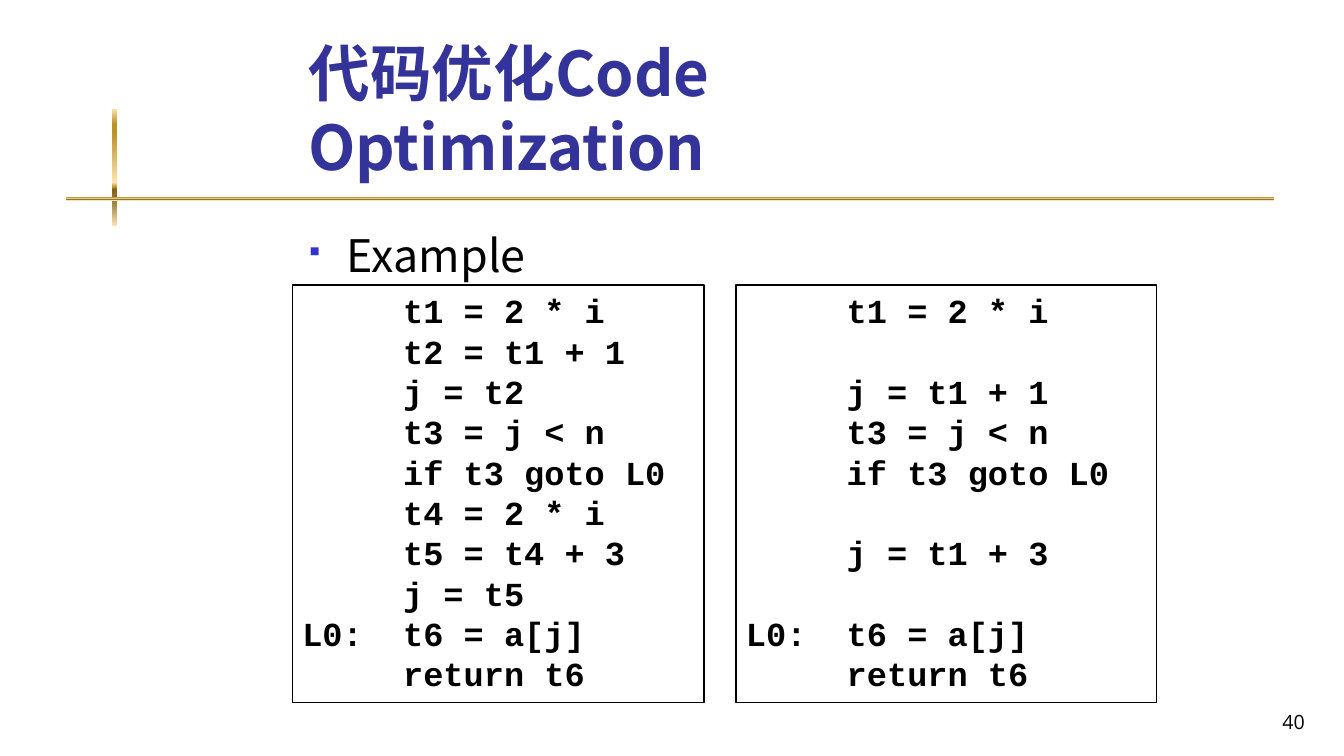
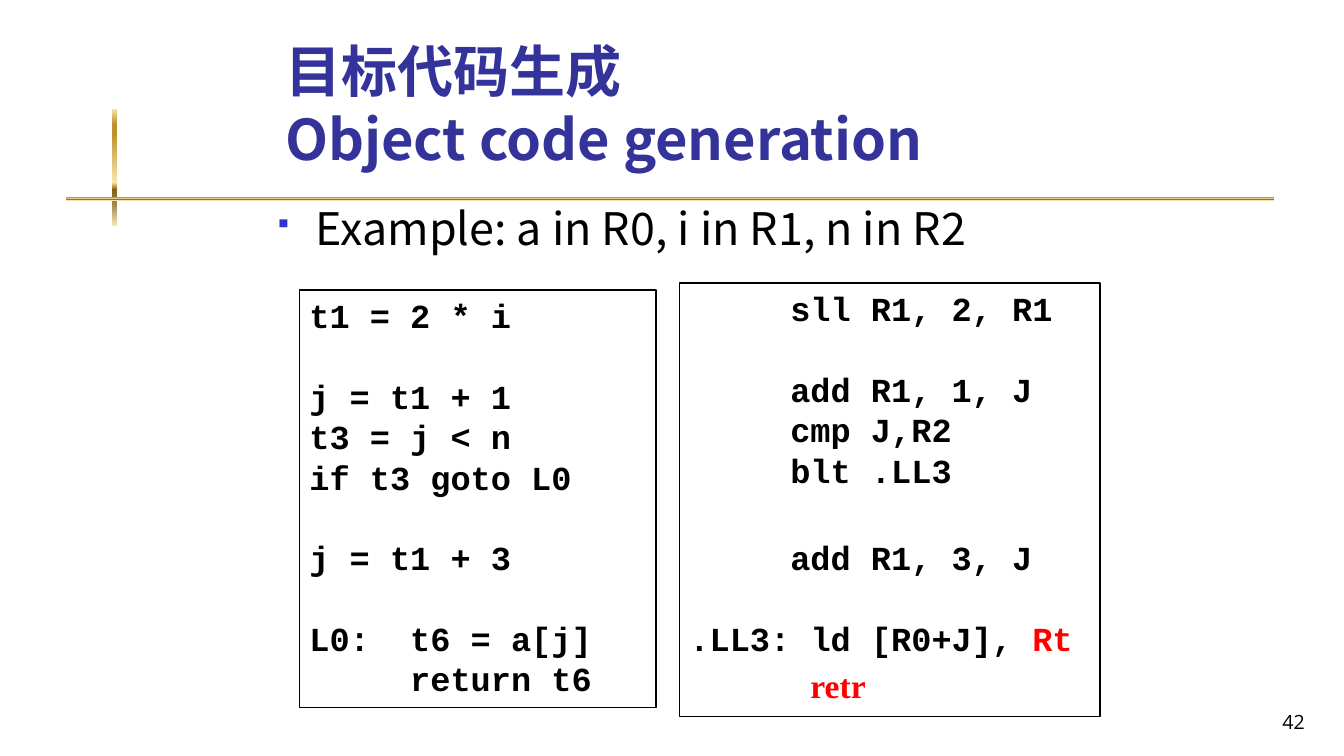
from dataclasses import dataclass

from lxml import etree
from pptx import Presentation
from pptx import util as u
from pptx.dml.color import RGBColor
from pptx.enum import shapes, text
from pptx.oxml import ns

INK = {"title": "333399", "mark": "3333CC", "text": "000000", "hot": "FF0000"}
GOLD = [(0, "FBE4AE"), (13, "BD922A"), (21, "BD922A"), (63, "FBE4AE"),
        (67, "BD922A"), (69, "835E17"), (82, "A28949"), (100, "FAE3B7")]
BARS = [(1.11, 1.08, 0.05, 1.16), (0.65, 1.95, 11.99, 0.04)]
HAN, MONO, SANS, SERIF = ("Noto Sans CJK JP", "Courier New", "Open Sans",
                          "Times New Roman")
LEAD = 1.2          # line height as a multiple of the text size
CODE = 24
ROW = CODE * LEAD   # height of one code line, in points
STEP = CODE * 0.2   # space before a new block of code, in points


@dataclass
class Line:
    """One code line: (text, colour, font) runs, space before in points, indent in inches."""
    runs: list
    gap: float = 0
    left: float = 0


def code(words, gap=0):
    return Line([(words, "text", MONO)], gap)


def sub(node, tag, **attrs):
    return etree.SubElement(node, ns.qn(tag), attrs)


def place(shape, box):
    shape.left, shape.top, shape.width, shape.height = map(u.Inches, box)


def put(para, words, size, ink="text", font=HAN, bold=False):
    run = para.add_run()
    run.text = words
    run.font.size = u.Pt(size)
    run.font.bold = bold
    run.font.color.rgb = RGBColor.from_string(INK[ink])
    run.font.name = font
    if font == HAN:
        sub(run.font._element, "a:ea", typeface=font)


def rect(slide, box):
    shape = slide.shapes.add_shape(shapes.MSO_SHAPE.RECTANGLE, *map(u.Inches, box))
    shape.shadow.inherit = False
    shape.fill.background()
    return shape


def bar(slide, box):
    shape = rect(slide, box)
    shape.line.fill.background()
    props = shape.element.spPr
    grad = etree.Element(ns.qn("a:gradFill"), rotWithShape="1")
    stops = sub(grad, "a:gsLst")
    for pos, tint in GOLD:
        sub(sub(stops, "a:gs", pos=str(pos * 1000)), "a:srgbClr", val=tint)
    sub(grad, "a:lin", ang="5400000", scaled="0")
    props.replace(props.find(ns.qn("a:noFill")), grad)


def title(slide, box, rows, size):
    shape = slide.shapes.title
    place(shape, box)
    frame = shape.text_frame
    frame.auto_size = text.MSO_AUTO_SIZE.NONE
    frame.vertical_anchor = text.MSO_ANCHOR.BOTTOM
    para = frame.paragraphs[0]
    para.alignment = text.PP_ALIGN.LEFT
    para.line_spacing = u.Pt(size * LEAD)
    for i, row in enumerate(rows):
        if i:
            para.add_line_break()
        put(para, row, size, "title", bold=True)


def body(slide, box, words, size=32):
    shape = slide.placeholders[1]
    place(shape, box)
    frame = shape.text_frame
    frame.auto_size = text.MSO_AUTO_SIZE.NONE
    para = frame.paragraphs[0]
    para.line_spacing = u.Pt(size * LEAD)
    para.space_before = u.Pt(0)
    props = para._p.get_or_add_pPr()
    props.set("marL", str(u.Inches(0.38)))
    props.set("indent", str(u.Inches(-0.38)))
    sub(sub(props, "a:buClr"), "a:srgbClr", val=INK["mark"])
    sub(props, "a:buSzPct", val="60000")
    sub(props, "a:buFont", typeface="Wingdings", charset="2")
    sub(props, "a:buChar", char="§")  # a small square in this font
    put(para, words, size)


def panel(slide, box, lines):
    """Outlined box of code, one paragraph a line."""
    shape = rect(slide, box)
    shape.line.color.rgb = RGBColor.from_string(INK["text"])
    shape.line.width = u.Pt(1.25)
    frame = shape.text_frame
    frame.word_wrap = True
    frame.vertical_anchor = text.MSO_ANCHOR.TOP
    for i, line in enumerate(lines):
        para = frame.add_paragraph() if i else frame.paragraphs[0]
        para.alignment = text.PP_ALIGN.LEFT
        para.line_spacing = u.Pt(ROW)
        para.space_before = u.Pt(line.gap)
        props = para._p.get_or_add_pPr()
        if line.left:
            props.set("marL", str(u.Inches(line.left)))
        sub(sub(props, "a:tabLst"), "a:tab", pos=str(u.Inches(1)), algn="l")
        for words, ink, font in line.runs:
            put(para, words, CODE, ink, font, True)


def number(slide, words):
    shape = slide.shapes.add_textbox(*map(u.Inches, (10.26, 6.83, 2.78, 0.5)))
    frame = shape.text_frame
    frame.word_wrap = True
    frame.vertical_anchor = text.MSO_ANCHOR.BOTTOM
    para = frame.paragraphs[0]
    para.alignment = text.PP_ALIGN.RIGHT
    put(para, words, 14, font=SANS)


def page(deck, head, note, panels, num):
    """Slide with heading, one bullet and code panels; each part comes with its box."""
    slide = deck.slides.add_slide(deck.slide_layouts[1])
    for box in BARS:
        bar(slide, box)
    title(slide, *head)
    body(slide, *note)
    for box, lines in panels:
        panel(slide, box, lines)
    number(slide, num)


def short(tab):
    """The optimized code, its plain lines led by tab."""
    return [code(tab + "t1 = 2 * i"),
            code(tab + "j = t1 + 1", ROW),
            code(tab + "t3 = j < n"),
            code(tab + "if t3 goto L0"),
            code(tab + "j = t1 + 3", ROW),
            code("L0: \tt6 = a[j]", ROW),
            code("\treturn t6")]


LONG = [code(row) for row in (
    "\tt1 = 2 * i", "\tt2 = t1 + 1", "\tj = t2", "\tt3 = j < n",
    "\tif t3 goto L0", "\tt4 = 2 * i", "\tt5 = t4 + 3", "\tj = t5",
    "L0: \tt6 = a[j]", "\treturn t6")]

ASM = [code("\tsll R1, 2, R1"),
       code("\tadd R1, 1, J", ROW),
       code("\tcmp J,R2"),
       code("\tblt .LL3"),
       code("\tadd R1, 3, J", ROW + STEP),
       Line([(".LL3: ld [R0+J], ", "text", MONO), ("Rt", "hot", MONO)], ROW),
       Line([("retr", "hot", SERIF)], STEP, 1.2)]


def main():
    deck = Presentation()
    deck.slide_width, deck.slide_height = u.Inches(13.33), u.Inches(7.5)
    page(deck,
         ((2.96, 0.76, 8, 1.1), ["代码优化Code Optimization"], 44),
         ((2.96, 2.21, 8.5, 4.93), "Example"),
         [((2.9, 2.83, 4.08, 4.14), LONG),
          ((7.3, 2.83, 4.17, 4.14), short("\t"))],
         "40")
    page(deck,
         ((2.73, 0.44, 8.35, 1.31), ["目标代码生成", "Object code generation"], 40),
         ((2.65, 1.94, 8.5, 5.28), "Example: a in R0, i in R1, n in R2"),
         [((2.97, 2.88, 3.54, 4.14), short("")),
          ((6.74, 2.81, 4.17, 4.3), ASM)],
         "42")
    deck.save("out.pptx")


if __name__ == "__main__":
    main()
